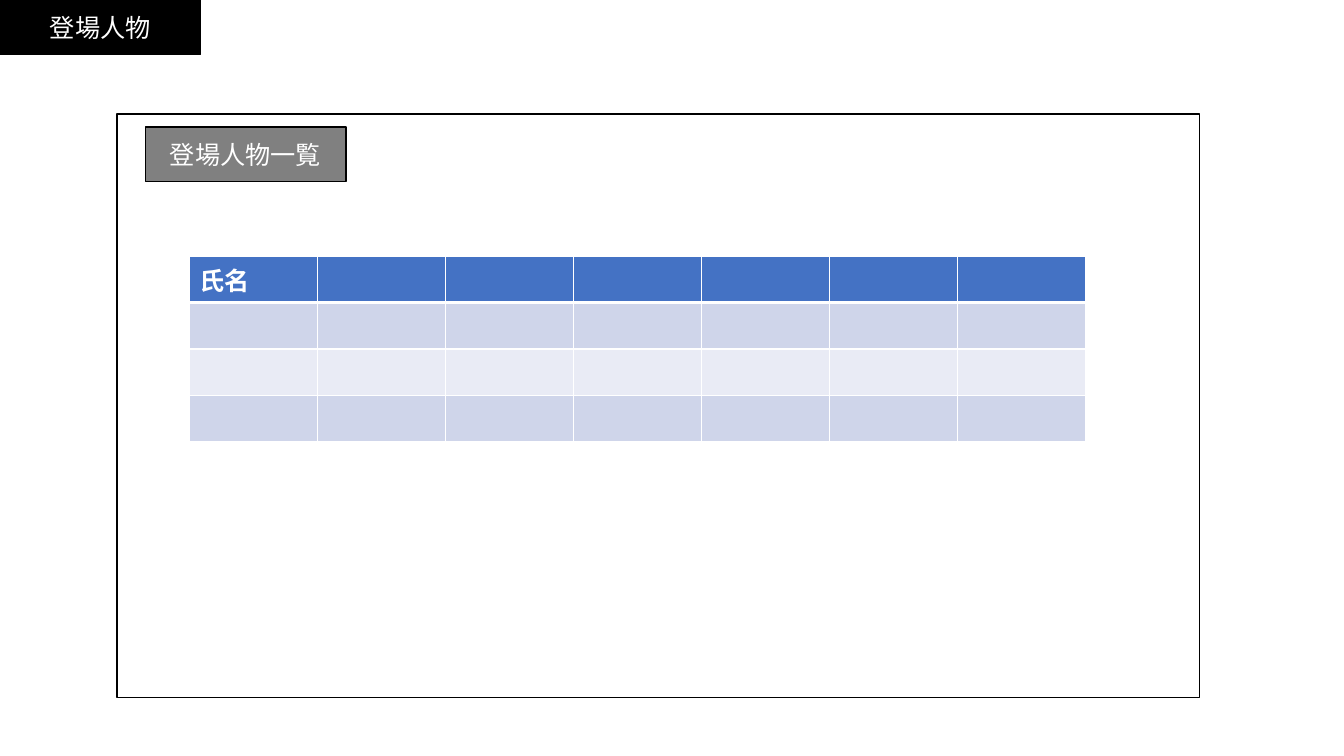
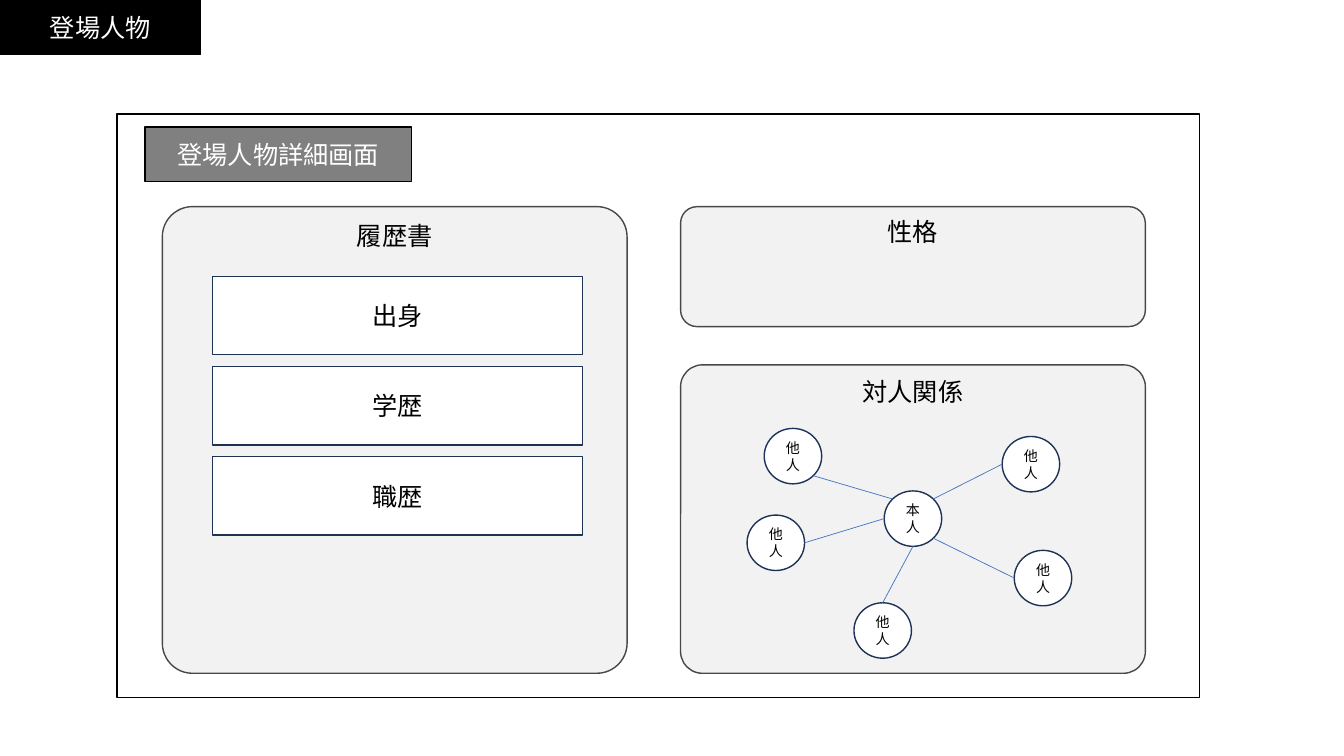
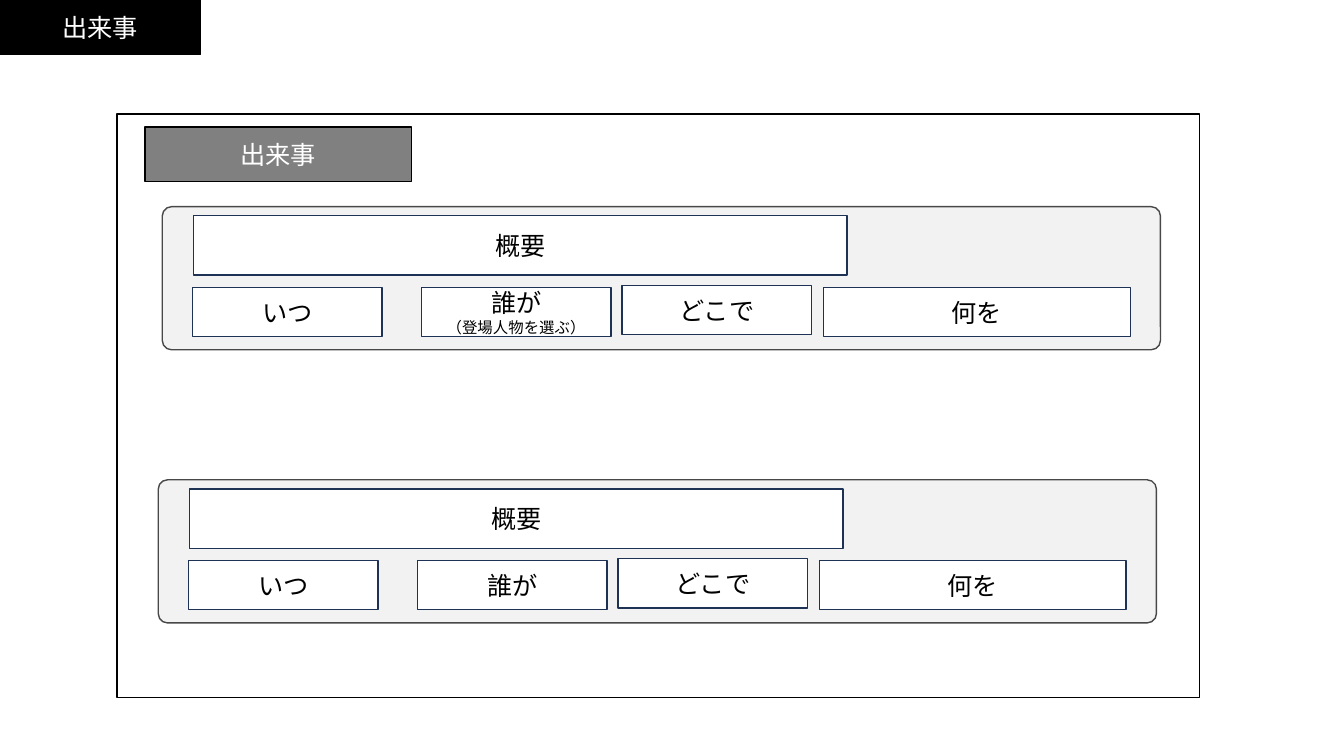
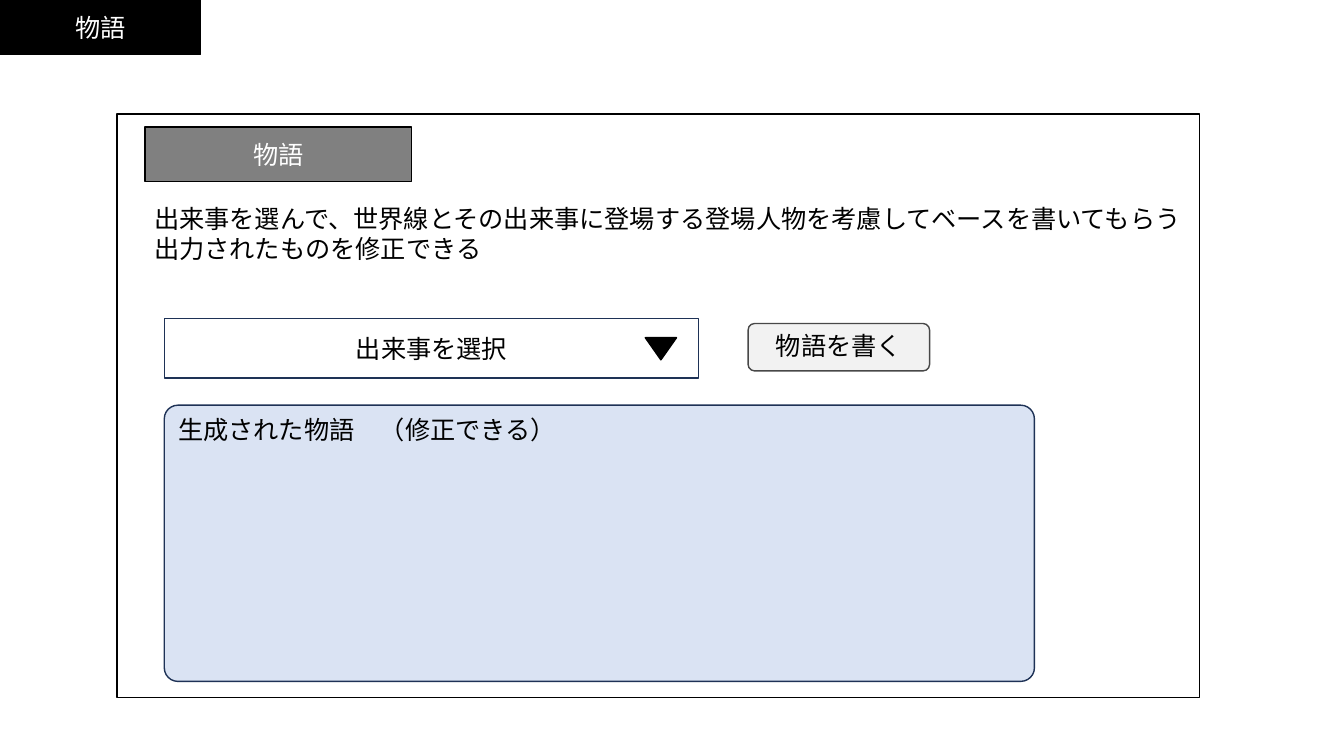
"""Builds four wireframe slides for a story-writing tool."""
from dataclasses import dataclass
from math import cos, radians, sin

from lxml import etree
from pptx import Presentation
from pptx.dml.color import RGBColor
from pptx.enum.shapes import MSO_CONNECTOR, MSO_SHAPE
from pptx.enum.text import MSO_ANCHOR, PP_ALIGN
from pptx.oxml.ns import qn
from pptx.util import Inches, Pt

RECT, ROUND = MSO_SHAPE.RECTANGLE, MSO_SHAPE.ROUNDED_RECTANGLE
OVAL, MERGE = MSO_SHAPE.OVAL, MSO_SHAPE.FLOWCHART_MERGE
STRAIGHT = MSO_CONNECTOR.STRAIGHT
TOP, MIDDLE = MSO_ANCHOR.TOP, MSO_ANCHOR.MIDDLE
LEFT, CENTER = PP_ALIGN.LEFT, PP_ALIGN.CENTER


@dataclass(frozen=True)
class Theme:
    font: str = "Noto Sans CJK JP"
    black: str = "000000"
    white: str = "FFFFFF"
    heading: str = "808080"
    panel: str = "F2F2F2"
    panel_line: str = "484848"
    navy: str = "1E3256"
    blue: str = "4472C4"
    pale_blue: str = "DAE3F3"
    band_dark: str = "CFD5EA"
    band_light: str = "E9EBF5"
    body: int = 18
    note: int = 11
    node: int = 10


THEME = Theme()

TABLE_HEADERS = ["氏名", "", "", "", "", "", ""]
TABLE_BANDS = [THEME.band_dark, THEME.band_light, THEME.band_dark]
TABLE_LEFT, TABLE_TOP, COLUMN_WIDTH, ROW_HEIGHT = 1.88, 2.54, 1.27, 0.46

PROFILE_PANELS = [
    ("履歴書", (1.61, 2.05, 4.61, 4.63), 0.065),
    ("性格", (6.75, 2.05, 4.61, 1.19), 0.137),
    ("対人関係", (6.75, 3.62, 4.61, 3.06), 0.071),
]
RESUME_FIELDS = ["出身", "学歴", "職歴"]
RESUME_TOP, RESUME_PITCH = 2.74, 0.895

NODE_WIDTH, NODE_HEIGHT = 0.57, 0.55
SELF_NODE = (8.77, 4.87)
OTHER_NODES = [
    ((7.58, 4.25), 45, 225),
    ((7.41, 5.11), 0, 180),
    ((8.47, 5.98), 270, 90),
    ((10.06, 5.46), 180, 45),
    ((9.94, 4.33), 180, 315),
]

EVENT_FIELDS = [
    ("概要", (0.31, 0.09, 6.48, 0.59)),
    ("いつ", (0.30, 0.80, 1.88, 0.49)),
    ("誰が", (2.57, 0.80, 1.88, 0.49)),
    ("どこで", (4.56, 0.78, 1.88, 0.49)),
    ("何を", (6.56, 0.80, 3.04, 0.49)),
]
EVENTS = [((1.61, 2.05), {"誰が": "（登場人物を選ぶ）"}), ((1.57, 4.76), {})]

STORY_GUIDE = [
    "出来事を選んで、世界線とその出来事に登場する登場人物を考慮してベースを書いてもらう",
    "出力されたものを修正できる",
]


def rgb(value):
    return RGBColor.from_string(value)


def write(frame, lines, color, align=CENTER, anchor=MIDDLE):
    frame.word_wrap = True
    frame.vertical_anchor = anchor
    for index, (text, size) in enumerate(lines):
        para = frame.add_paragraph() if index else frame.paragraphs[0]
        para.text = text
        para.alignment = align
        para.font.size = Pt(size)
        para.font.color.rgb = rgb(color)
        para.font.name = THEME.font
        properties = para.font._element
        etree.SubElement(properties, qn("a:ea"), typeface=THEME.font)


def add_box(page, kind, place, fill, line, lines=(), color=THEME.black,
            align=CENTER, anchor=MIDDLE, corner=None):
    box = page.shapes.add_shape(kind, *map(Inches, place))
    box.shadow.inherit = False
    if corner is not None:
        box.adjustments[0] = corner
    if fill:
        box.fill.solid()
        box.fill.fore_color.rgb = rgb(fill)
    else:
        box.fill.background()
    box.line.color.rgb = rgb(line)
    box.line.width = Pt(1)
    write(box.text_frame, lines, color, align, anchor)
    return box


def add_panel(page, place, corner, title=None):
    lines = [(title, THEME.body)] if title else []
    add_box(page, ROUND, place, THEME.panel, THEME.panel_line, lines,
            anchor=TOP, corner=corner)


def add_field(page, place, text, note=None):
    lines = [(text, THEME.body)] + ([(note, THEME.note)] if note else [])
    add_box(page, RECT, place, THEME.white, THEME.navy, lines)


def add_page(deck, section, heading, heading_width=2.64):
    page = deck.slides.add_slide(deck.slide_layouts[6])
    add_box(page, RECT, (0, 0, 1.99, 0.54), THEME.black, THEME.black,
            [(section, THEME.body)], THEME.white)
    add_box(page, RECT, (1.16, 1.13, 10.74, 5.79), None, THEME.black)
    add_box(page, RECT, (1.44, 1.26, heading_width, 0.54), THEME.heading,
            THEME.black, [(heading, THEME.body)], THEME.white)
    return page


def style_cell(cell, fill, bottom_width):
    properties = cell._tc.get_or_add_tcPr()
    for side, width in (("L", 1), ("R", 1), ("T", 1), ("B", bottom_width)):
        border = etree.SubElement(properties, qn(f"a:ln{side}"), w=str(Pt(width)))
        paint = etree.SubElement(border, qn("a:solidFill"))
        etree.SubElement(paint, qn("a:srgbClr"), val=THEME.white)
    cell.fill.solid()
    cell.fill.fore_color.rgb = rgb(fill)


def add_character_table(page):
    fills = [THEME.blue] + TABLE_BANDS
    rows, columns = len(fills), len(TABLE_HEADERS)
    table = page.shapes.add_table(
        rows, columns, Inches(TABLE_LEFT), Inches(TABLE_TOP),
        Inches(COLUMN_WIDTH * columns), Inches(ROW_HEIGHT * rows)).table
    for row, fill in enumerate(fills):
        for column, header in enumerate(TABLE_HEADERS):
            cell = table.cell(row, column)
            style_cell(cell, fill, 1 if row else 3)
            if row == 0 and header:
                write(cell.text_frame, [(header, THEME.body)], THEME.white, LEFT, TOP)
                cell.text_frame.paragraphs[0].font.bold = True


def add_node(page, corner, text):
    add_box(page, OVAL, (*corner, NODE_WIDTH, NODE_HEIGHT), THEME.white,
            THEME.navy, [(text, THEME.node)])


def node_edge(corner, angle):
    left, top = corner
    return (Inches(left + NODE_WIDTH / 2 * (1 + cos(radians(angle)))),
            Inches(top + NODE_HEIGHT / 2 * (1 + sin(radians(angle)))))


def add_relations(page):
    add_node(page, SELF_NODE, "本人")
    for corner, other_angle, self_angle in OTHER_NODES:
        add_node(page, corner, "他人")
        link = page.shapes.add_connector(
            STRAIGHT, *node_edge(corner, other_angle), *node_edge(SELF_NODE, self_angle))
        link.line.color.rgb = rgb(THEME.blue)
        link.line.width = Pt(0.5)
        etree.SubElement(link._element.spPr, qn("a:effectLst"))


def build_character_list(deck):
    page = add_page(deck, "登場人物", "登場人物一覧", 1.99)
    add_character_table(page)


def build_character_detail(deck):
    page = add_page(deck, "登場人物", "登場人物詳細画面")
    for title, place, corner in PROFILE_PANELS:
        add_panel(page, place, corner, title)
    for index, text in enumerate(RESUME_FIELDS):
        add_field(page, (2.11, RESUME_TOP + index * RESUME_PITCH, 3.67, 0.78), text)
    add_relations(page)


def build_events(deck):
    page = add_page(deck, "出来事", "出来事")
    for (left, top), notes in EVENTS:
        add_panel(page, (left, top, 9.9, 1.42), 0.065)
        for text, (x, y, width, height) in EVENT_FIELDS:
            add_field(page, (left + x, top + y, width, height), text, notes.get(text))


def build_story(deck):
    page = add_page(deck, "物語", "物語")
    guide = page.shapes.add_textbox(*map(Inches, (1.43, 1.97, 10.55, 0.71)))
    write(guide.text_frame, [(line, THEME.body) for line in STORY_GUIDE],
          THEME.black, LEFT, TOP)
    add_field(page, (1.63, 3.16, 5.3, 0.59), "出来事を選択")
    add_box(page, MERGE, (6.4, 3.35, 0.31, 0.22), THEME.black, THEME.black)
    add_panel(page, (7.42, 3.21, 1.8, 0.47), 0.137, "物語を書く")
    add_box(page, ROUND, (1.63, 4.02, 8.63, 2.74), THEME.pale_blue, THEME.navy,
            [("生成された物語　（修正できる）", THEME.body)],
            align=LEFT, anchor=TOP, corner=0.049)


def main():
    deck = Presentation()
    deck.slide_width, deck.slide_height = Inches(13.33), Inches(7.5)
    for build in (build_character_list, build_character_detail, build_events, build_story):
        build(deck)
    deck.save("out.pptx")


if __name__ == "__main__":
    main()
